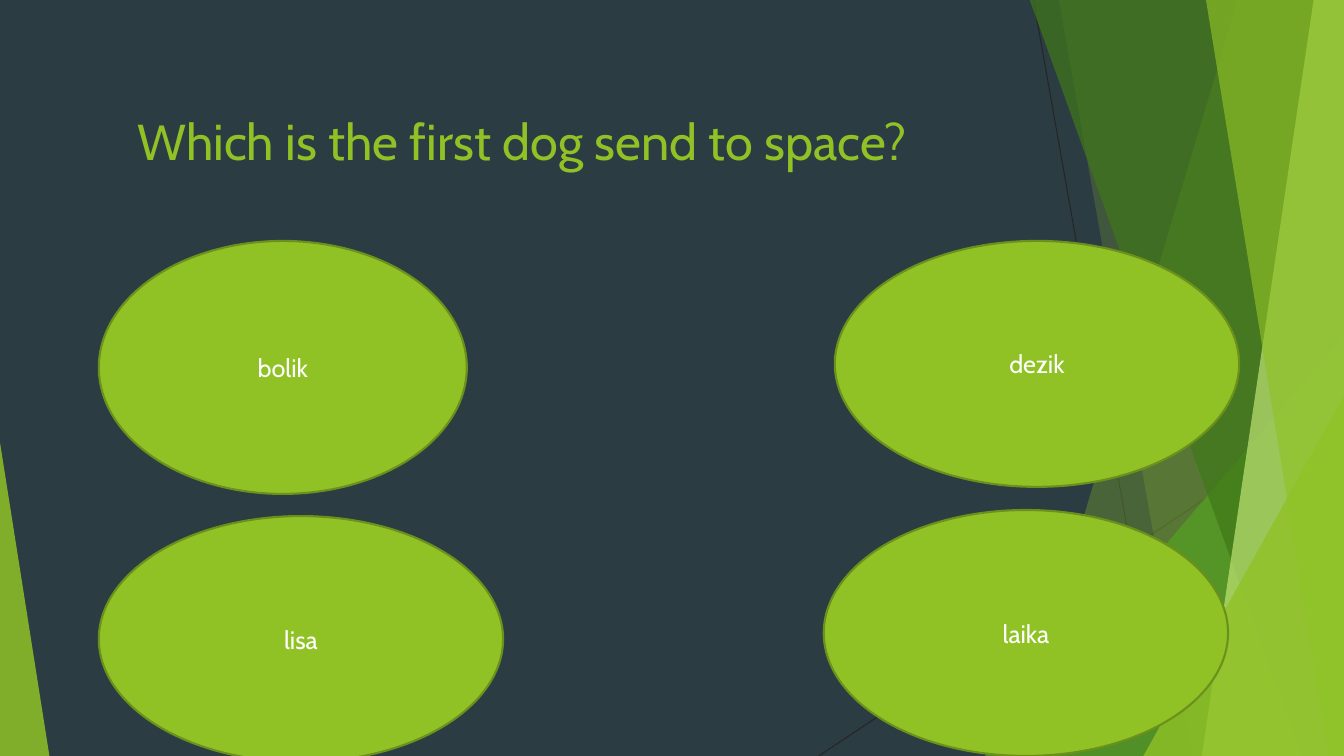
from dataclasses import dataclass

from lxml.etree import SubElement
from pptx import Presentation
from pptx.dml.color import RGBColor
from pptx.enum.shapes import MSO_CONNECTOR, MSO_SHAPE
from pptx.enum.text import MSO_ANCHOR as Anchor, PP_ALIGN as Align
from pptx.oxml.ns import qn
from pptx.util import Pt

PX = 9144  # EMU per px, 100 px to the inch
WIDTH, HEIGHT = 1333, 750


@dataclass(frozen=True)
class Theme:
    font: str = "Cabin"
    title_size: int = 36
    answer_size: int = 18
    background: str = "2C3C43"
    lime: str = "90C226"
    olive: str = "6B901C"
    green: str = "54A021"
    forest: str = "3F7819"
    pale: str = "C0E474"
    hairline: str = "262626"
    white: str = "FFFFFF"


THEME = Theme()

# Top-left x, top-right x, bottom-right x, bottom-left x, colour, opacity in %
BACK_BANDS = [
    (1228, WIDTH, WIDTH, 1004, THEME.lime, 30),
    (1050, WIDTH, WIDTH, 1183, THEME.lime, 20),
]
FRONT_BANDS = [
    (1021, WIDTH, WIDTH, 1291, THEME.forest, 70),
    (1303, WIDTH, WIDTH, 1192, THEME.pale, 70),
    (1196, WIDTH, WIDTH, 1318, THEME.lime, 65),
]

# Answer, left, top, width, height
ANSWERS = [
    ("bolik", 98, 239, 365, 251),
    ("laika", 817, 506, 401, 244),
    ("lisa", 98, 512, 401, 244),
    ("dezik", 828, 239, 401, 244),
]


def px(*lengths):
    return [n * PX for n in lengths]


def rgb(color):
    return RGBColor.from_string(color)


def fill_solid(sp, color, opacity=100):
    sp.shadow.inherit = False
    sp.fill.solid()
    sp.fill.fore_color.rgb = rgb(color)
    if opacity < 100:
        clr = sp.fill._xPr.find(qn("a:solidFill"))[0]
        SubElement(clr, qn("a:alpha")).set("val", str(opacity * 1000))


def style_text(tf, size, color, align, anchor):
    tf.word_wrap = True
    tf.vertical_anchor = anchor
    for p in tf.paragraphs:
        p.alignment = align
        for r in p.runs:
            r.font.name = THEME.font
            r.font.size = Pt(size)
            r.font.color.rgb = rgb(color)


def add_hairline(shapes, x1, y1, x2, y2):
    line = shapes.add_connector(MSO_CONNECTOR.STRAIGHT, *px(x1, y1, x2, y2))
    line.line.color.rgb = rgb(THEME.hairline)
    line.line.width = Pt(0.75)
    SubElement(line._element.spPr, qn("a:effectLst"))


def add_band(shapes, top_left, top_right, bottom_right, bottom_left, color, opacity):
    top = -1
    outline = shapes.build_freeform(top_left, top, scale=PX)
    outline.add_line_segments(
        [(top_right, top), (bottom_right, HEIGHT), (bottom_left, HEIGHT)], close=True
    )
    sp = outline.convert_to_shape()
    fill_solid(sp, color, opacity)
    sp.line.fill.background()


def add_corner(shapes, x, y, w, apex, color, opacity):
    """Triangle standing on the bottom edge of the slide."""
    sp = shapes.add_shape(MSO_SHAPE.ISOSCELES_TRIANGLE, *px(x, y, w, HEIGHT - y))
    sp.adjustments[0] = apex
    fill_solid(sp, color, opacity)
    sp.line.fill.background()


def add_facets(s):
    shapes = s.shapes.add_group_shape().shapes
    add_hairline(shapes, 1025, 0, 1158, HEIGHT)
    add_hairline(shapes, WIDTH, 403, 812, HEIGHT)
    for band in BACK_BANDS:
        add_band(shapes, *band)
    add_corner(shapes, 977, 333, 356, 1.0, THEME.green, 72)
    for band in FRONT_BANDS:
        add_band(shapes, *band)
    add_corner(shapes, 1134, 393, 199, 1.0, THEME.lime, 80)
    add_corner(shapes, 0, 439, 49, 0.0, THEME.lime, 85)


def set_title(s, text, x, y, w, h):
    title = s.shapes.title
    title.left, title.top, title.width, title.height = px(x, y, w, h)
    title.text_frame.text = text
    style_text(title.text_frame, THEME.title_size, THEME.lime, Align.LEFT, Anchor.TOP)
    s.shapes._spTree.append(title._element)  # bring above the facets


def add_answer(s, text, x, y, w, h):
    sp = s.shapes.add_shape(MSO_SHAPE.OVAL, *px(x, y, w, h))
    fill_solid(sp, THEME.lime)
    sp.line.color.rgb = rgb(THEME.olive)
    sp.line.width = Pt(1.5)
    sp.text_frame.text = text
    style_text(sp.text_frame, THEME.answer_size, THEME.white, Align.CENTER, Anchor.MIDDLE)


def main():
    prs = Presentation()
    prs.slide_width, prs.slide_height = px(WIDTH, HEIGHT)
    s = prs.slides.add_slide(prs.slide_layouts.get_by_name("Title Only"))

    # Background and decoration
    s.background.fill.solid()
    s.background.fill.fore_color.rgb = rgb(THEME.background)
    add_facets(s)

    # Question and answers
    set_title(s, "Which is the first dog send to space?", 126, 104, 958, 113)
    for answer in ANSWERS:
        add_answer(s, *answer)

    prs.save("out.pptx")


if __name__ == "__main__":
    main()
